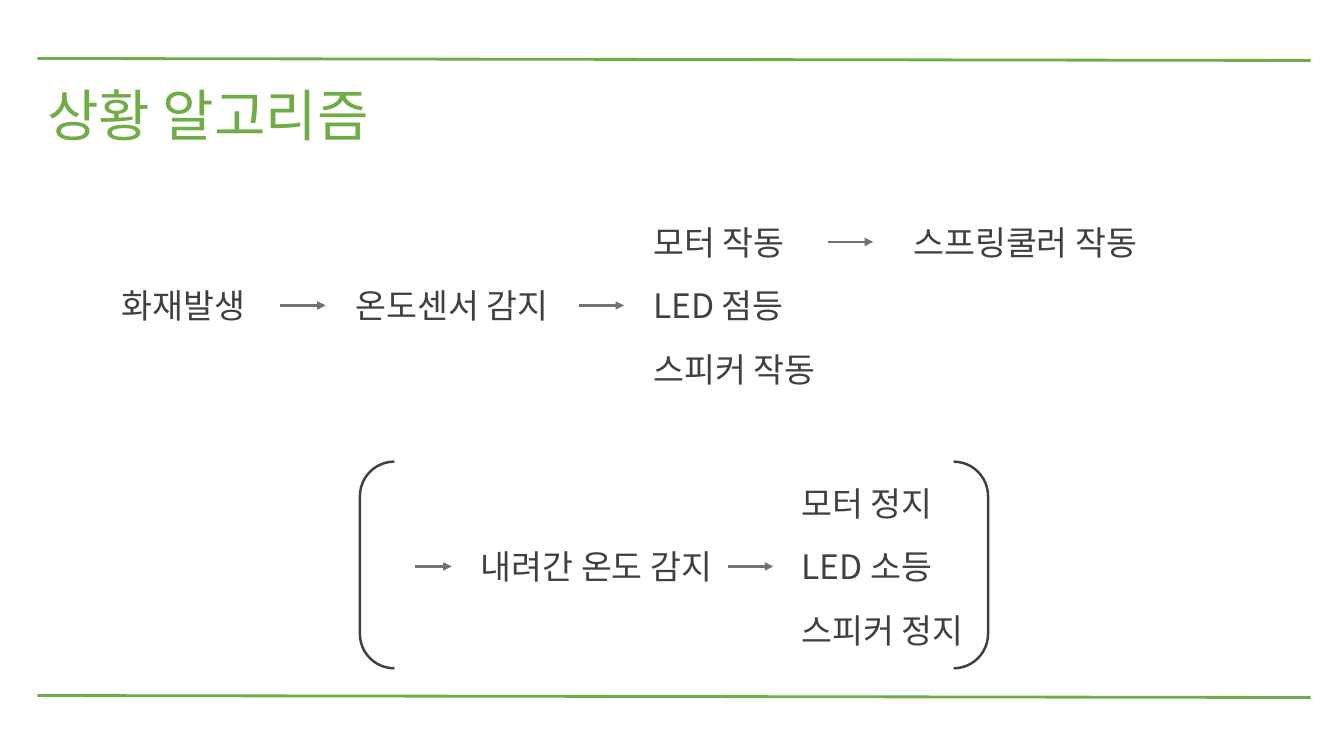
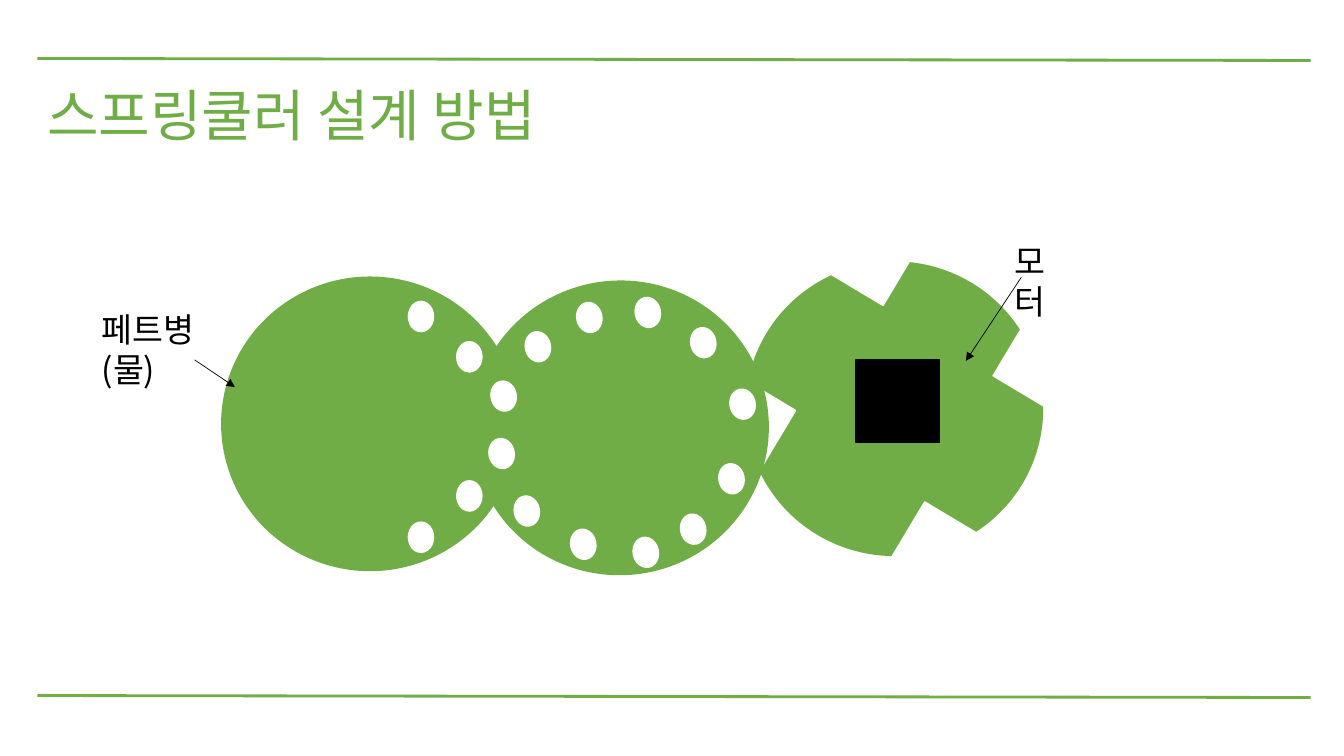
from lxml import etree
from pptx import Presentation
from pptx.dml.color import RGBColor
from pptx.enum.shapes import MSO_CONNECTOR, MSO_SHAPE
from pptx.enum.text import MSO_ANCHOR, MSO_AUTO_SIZE, PP_ALIGN
from pptx.oxml.ns import qn
from pptx.util import Inches, Pt

STRAIGHT = MSO_CONNECTOR.STRAIGHT
ELLIPSE, RECTANGLE = MSO_SHAPE.OVAL, MSO_SHAPE.RECTANGLE
BRACKETS = MSO_SHAPE.DOUBLE_BRACKET
MIDDLE, LEFT, FIXED = MSO_ANCHOR.MIDDLE, PP_ALIGN.LEFT, MSO_AUTO_SIZE.NONE

FONT = "Noto Sans CJK KR"
GREEN, WHITE, BLACK = "70AD47", "FFFFFF", "000000"
CHARCOAL, GRAY = "404040", "767171"
ROW_PITCH, ROW_HEIGHT = 0.63, 0.5
DISC_WIDTH, DISC_HEIGHT = 2.94, 2.91
HOLE_WIDTH, HOLE_HEIGHT = 0.25, 0.3
NOTCH_SIDE, NOTCH_TURN = 0.92, 30.9
RING_TURN = 348.2


def color(hex_code):
    """Turn a hex string into a colour."""
    return RGBColor.from_string(hex_code)


def write(holder, text, size=24, ink=CHARCOAL, wrap=False):
    """Fill a text holder with one formatted paragraph."""
    frame = holder.text_frame
    frame.auto_size = FIXED
    frame.word_wrap = wrap
    frame.vertical_anchor = MIDDLE
    paragraph = frame.paragraphs[0]
    paragraph.alignment = LEFT
    run = paragraph.add_run()
    run.text = text
    run.font.size = Pt(size)
    run.font.name = FONT
    run.font.color.rgb = color(ink)
    east_asian = etree.SubElement(run.font._element, qn("a:ea"))
    east_asian.set("typeface", FONT)


def add_label(slide, left, top, width, text, height=ROW_HEIGHT, **style):
    """Place a text label."""
    label = slide.shapes.add_textbox(*map(Inches, (left, top, width, height)))
    write(label, text, **style)


def add_line(slide, start, end, ink, weight, arrow=False):
    """Draw a straight line, with an arrowhead at its end if asked."""
    line = slide.shapes.add_connector(STRAIGHT, *map(Inches, (*start, *end)))
    line.line.color.rgb = color(ink)
    line.line.width = Pt(weight)
    if arrow:
        head = etree.SubElement(line.line._get_or_add_ln(), qn("a:tailEnd"))
        head.set("type", "triangle")
    etree.SubElement(line._element.spPr, qn("a:effectLst"))


def add_figure(slide, kind, box, ink, filled=True, weight=1, turn=0):
    """Draw a plain preset shape."""
    figure = slide.shapes.add_shape(kind, *map(Inches, box))
    figure.shadow.inherit = False
    figure.rotation = turn
    if filled:
        figure.fill.solid()
        figure.fill.fore_color.rgb = color(ink)
    else:
        figure.fill.background()
    figure.line.color.rgb = color(ink)
    figure.line.width = Pt(weight)


def add_titled_slide(deck, heading, width):
    """Start a slide with its two green rules and its title."""
    slide = deck.slides.add_slide(deck.slide_layouts[5])
    for rule_top in (0.58, 6.9):
        add_line(slide, (0.37, rule_top), (13, rule_top + 0.02), GREEN, 2)
    title = slide.shapes.title
    title.left, title.top, title.width, title.height = map(
        Inches, (0.37, 0.75, width, 0.77))
    write(title, heading, size=40, ink=GREEN)
    return slide


def add_flow(slide, left, top, stages, arrows, outcomes, outcome_left):
    """Lay out stages and arrows along the middle row of a stack of outcomes."""
    stage_top = top + ROW_PITCH
    for offset, width, text in stages:
        add_label(slide, left + offset, stage_top, width, text)
    for offset, length, row in arrows:
        arrow_left = left + offset
        arrow_top = top + row * ROW_PITCH + ROW_HEIGHT / 2
        add_line(slide, (arrow_left, arrow_top),
                 (arrow_left + length, arrow_top), GRAY, 2, arrow=True)
    for row, text in enumerate(outcomes):
        add_label(slide, left + outcome_left, top + row * ROW_PITCH, 1.92, text)


def add_disc(slide, left, top, holes=(), turn=0):
    """Draw a green disc with white holes placed from its corner."""
    add_figure(slide, ELLIPSE, (left, top, DISC_WIDTH, DISC_HEIGHT), GREEN,
               turn=turn)
    for x, y in holes:
        add_figure(slide, ELLIPSE, (left + x, top + y, HOLE_WIDTH, HOLE_HEIGHT),
                   WHITE, turn=turn)


def add_notched_wheel(slide, left, top):
    """Draw a disc cut by four turned white notches."""
    add_disc(slide, left, top)
    for x, y in ((0.74, -0.66), (-0.6, 1.17), (2.62, 0.51), (1.47, 2.55)):
        add_figure(slide, RECTANGLE, (left + x, top + y, NOTCH_SIDE, NOTCH_SIDE),
                   WHITE, turn=NOTCH_TURN)


def add_algorithm_slide(deck):
    """Build the slide on what happens when a fire starts and ends."""
    slide = add_titled_slide(deck, "상황 알고리즘", 3.71)
    add_flow(slide, 1.11, 2.15,
             stages=((0, 1.49, "화재발생"), (2.32, 2.24, "온도센서 감지")),
             arrows=((1.67, 0.45, 1), (4.63, 0.45, 1), (7.1, 0.45, 0)),
             outcomes=("모터 작동", "LED 점등", "스피커 작동"), outcome_left=5.27)
    add_label(slide, 8.96, 2.15, 2.57, "스프링쿨러 작동")
    add_flow(slide, 3.57, 4.74,
             stages=((1.1, 2.67, "내려간 온도 감지"),),
             arrows=((0.55, 0.36, 1), (3.65, 0.45, 1)),
             outcomes=("모터 정지", "LED 소등", "스피커 정지"), outcome_left=4.28)
    add_figure(slide, BRACKETS, (3.57, 4.58, 6.23, 2.05), CHARCOAL,
               filled=False, weight=1.75)


def add_design_slide(deck):
    """Build the slide on the parts of the sprinkler."""
    slide = add_titled_slide(deck, "스프링쿨러 설계 방법", 5.53)
    bottle_holes = ((2.58, 1.32), (2.33, 0.64), (2.33, 2.02), (1.85, 0.24),
                    (1.85, 2.43))
    ring_holes = ((2.56, 1.07), (2.17, 0.46), (2.45, 1.81), (1.62, 0.16),
                  (2.07, 2.31), (1.04, 0.21), (0.53, 0.5), (0.19, 0.99),
                  (0.17, 1.56), (0.42, 2.13), (1.6, 2.54), (0.98, 2.46))
    add_disc(slide, 2.2, 2.75, bottle_holes)
    add_notched_wheel(slide, 7.4, 2.6)
    add_disc(slide, 4.68, 2.79, ring_holes, turn=RING_TURN)
    add_figure(slide, RECTANGLE, (8.49, 3.57, 0.83, 0.82), BLACK)
    add_label(slide, 9.96, 2.34, 0.6, "모터", height=0.9, ink=BLACK, wrap=True)
    add_label(slide, 0.91, 3.01, 1.25, "페트병(물)", height=0.9, ink=BLACK,
              wrap=True)
    add_line(slide, (1.93, 3.57), (2.33, 3.84), BLACK, 0.5, arrow=True)
    add_line(slide, (10.13, 2.75), (9.58, 3.58), BLACK, 0.5, arrow=True)


def main():
    """Build and save the presentation."""
    deck = Presentation()
    deck.slide_width, deck.slide_height = Inches(13.33), Inches(7.5)
    add_algorithm_slide(deck)
    add_design_slide(deck)
    deck.save("out.pptx")


main()
